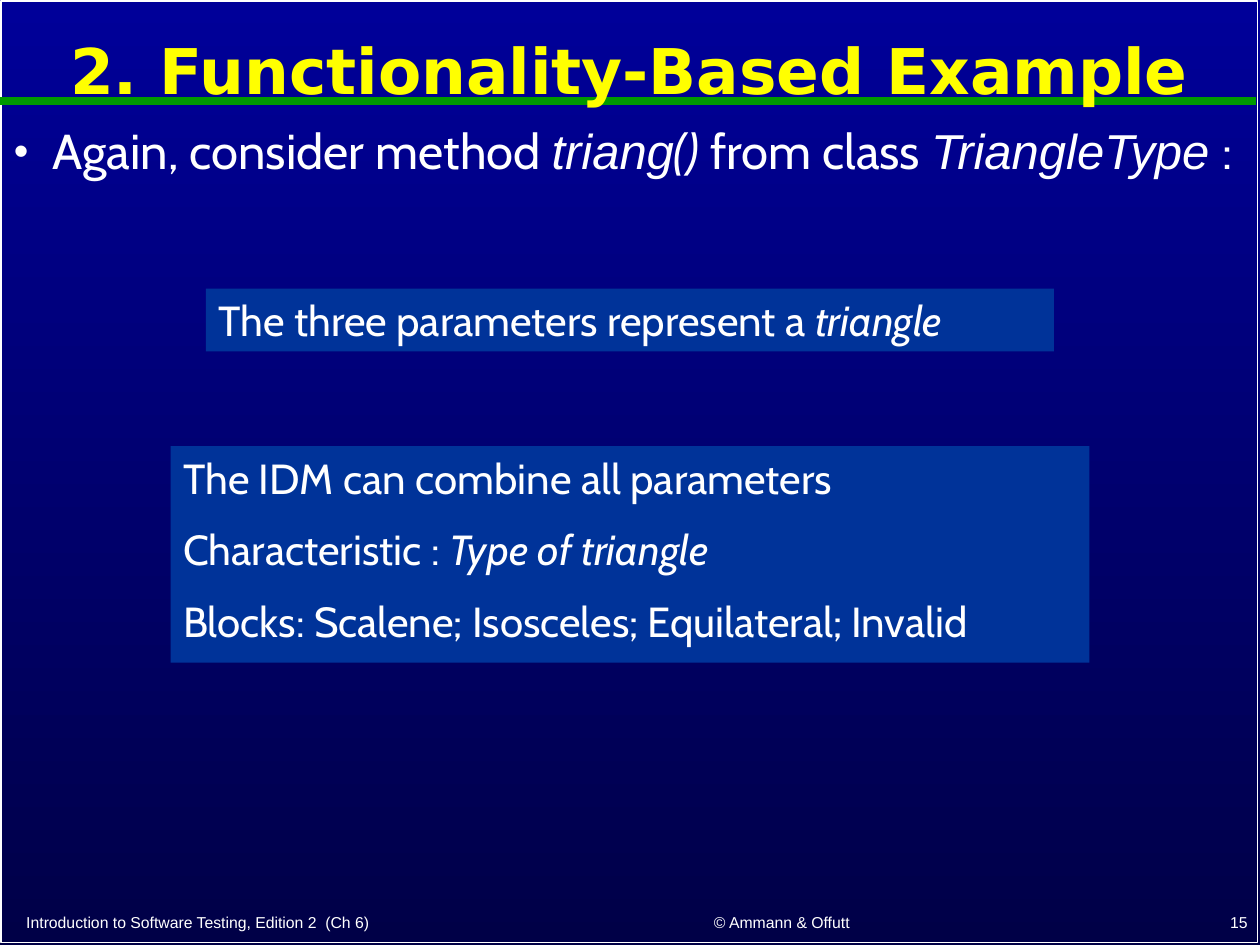
from dataclasses import dataclass

from lxml import etree
from pptx import Presentation
from pptx.dml.color import RGBColor
from pptx.enum.shapes import MSO_CONNECTOR, MSO_SHAPE
from pptx.enum.text import MSO_ANCHOR, MSO_AUTO_SIZE, PP_ALIGN
from pptx.oxml.ns import qn
from pptx.util import Inches, Pt

LEFT, CENTER, RIGHT = PP_ALIGN.LEFT, PP_ALIGN.CENTER, PP_ALIGN.RIGHT
TOP, MIDDLE, BOTTOM = MSO_ANCHOR.TOP, MSO_ANCHOR.MIDDLE, MSO_ANCHOR.BOTTOM
RECTANGLE, STRAIGHT = MSO_SHAPE.RECTANGLE, MSO_CONNECTOR.STRAIGHT
NO_AUTOFIT = MSO_AUTO_SIZE.NONE

SLIDE_WIDTH, SLIDE_HEIGHT = 10, 7.5
EDGE, CONTENT_WIDTH = 0.01, 9.97
RULE_Y = 0.8


@dataclass(frozen=True)
class Theme:
    background: tuple = ("000099", "000047")
    text: str = "FFFFFF"
    title: str = "FFFF00"
    rule: str = "009900"
    panel: str = "003399"
    title_font: str = "DejaVu Sans"
    text_font: str = "Cabin"
    plain_font: str = "Arial"
    title_size: int = 36
    body_size: int = 28
    panel_size: int = 24
    footer_size: int = 9


THEME = Theme()


def color(value):
    return RGBColor.from_string(value)


def place(shape, left, top, width, height):
    shape.left, shape.top = Inches(left), Inches(top)
    shape.width, shape.height = Inches(width), Inches(height)


def add_run(paragraph, text, size, font=THEME.text_font, italic=False,
            bold=False, fill=THEME.text):
    run = paragraph.add_run()
    run.text = text
    run.font.name, run.font.size = font, Pt(size)
    run.font.italic, run.font.bold = italic, bold
    run.font.color.rgb = color(fill)


def set_bullet(paragraph, indent, size_percent):
    properties = paragraph._p.get_or_add_pPr()
    properties.set("marL", str(Inches(indent)))
    properties.set("indent", str(-Inches(indent)))
    for tag, name, value in (("a:buSzPct", "val", str(size_percent * 1000)),
                             ("a:buFont", "typeface", THEME.plain_font),
                             ("a:buChar", "char", "•")):
        etree.SubElement(properties, qn(tag)).set(name, value)


def paint_background(slide):
    fill = slide.background.fill
    fill.gradient()
    fill.gradient_angle = 270
    for stop, value in zip(fill.gradient_stops, THEME.background):
        stop.color.rgb = color(value)


def add_frame(slide):
    frame = slide.shapes.add_shape(RECTANGLE, Inches(EDGE), Inches(EDGE),
                                   Inches(CONTENT_WIDTH), Inches(SLIDE_HEIGHT - 0.03))
    frame.shadow.inherit = False
    frame.fill.background()
    frame.line.color.rgb = color(THEME.text)
    frame.line.width = Pt(1)


def add_rule(slide):
    rule = slide.shapes.add_connector(STRAIGHT, 0, Inches(RULE_Y),
                                      Inches(CONTENT_WIDTH), Inches(RULE_Y))
    rule.line.color.rgb = color(THEME.rule)
    rule.line.width = Pt(4.5)
    etree.SubElement(rule.element.spPr, qn("a:effectLst"))


def prepare_placeholder(placeholder, top, height, anchor):
    """Place it, bring it in front of the backdrop and return its paragraph."""
    place(placeholder, EDGE, top, CONTENT_WIDTH, height)
    placeholder.element.getparent().append(placeholder.element)
    frame = placeholder.text_frame
    frame.auto_size, frame.vertical_anchor = NO_AUTOFIT, anchor
    paragraph = frame.paragraphs[0]
    paragraph.line_spacing, paragraph.space_before = 0.9, Pt(0)
    return paragraph


def fill_title(placeholder, text):
    paragraph = prepare_placeholder(placeholder, 0.11, 0.95, MIDDLE)
    paragraph.alignment = CENTER
    add_run(paragraph, text, THEME.title_size, THEME.title_font,
            bold=True, fill=THEME.title)


def fill_body(placeholder, runs):
    paragraph = prepare_placeholder(placeholder, 0.96, 6.16, TOP)
    set_bullet(paragraph, 0.31, 85)
    for text, font, italic in runs:
        add_run(paragraph, text, THEME.body_size, font, italic)


def add_footer(slide, text, left, width, alignment):
    box = slide.shapes.add_textbox(Inches(left), Inches(7.17),
                                   Inches(width), Inches(0.27))
    frame = box.text_frame
    frame.word_wrap, frame.vertical_anchor = True, BOTTOM
    paragraph = frame.paragraphs[0]
    paragraph.alignment = alignment
    add_run(paragraph, text, THEME.footer_size, THEME.plain_font)


def add_panel(slide, top, width, height, lines):
    """Centred panel; each line is a plain part and an italic part."""
    left = (SLIDE_WIDTH - width) / 2
    panel = slide.shapes.add_shape(RECTANGLE, Inches(left), Inches(top),
                                   Inches(width), Inches(height))
    panel.shadow.inherit = False
    panel.fill.solid()
    panel.fill.fore_color.rgb = color(THEME.panel)
    panel.line.fill.background()
    frame = panel.text_frame
    frame.word_wrap, frame.vertical_anchor = True, TOP
    for index, (plain, emphasis) in enumerate(lines):
        paragraph = frame.add_paragraph() if index else frame.paragraphs[0]
        paragraph.alignment = LEFT
        paragraph.space_before = Pt(THEME.panel_size / 2 if index else 0)
        add_run(paragraph, plain, THEME.panel_size)
        if emphasis:
            add_run(paragraph, emphasis, THEME.panel_size, italic=True)


def main():
    presentation = Presentation()
    presentation.slide_width = Inches(SLIDE_WIDTH)
    presentation.slide_height = Inches(SLIDE_HEIGHT)
    slide = presentation.slides.add_slide(presentation.slide_layouts[1])

    paint_background(slide)
    add_frame(slide)
    add_rule(slide)
    fill_title(slide.shapes.title, "2. Functionality-Based Example")
    fill_body(slide.placeholders[1], [
        ("Again, consider method ", THEME.text_font, False),
        ("triang", THEME.plain_font, True),
        ("()", THEME.text_font, True),
        (" from class ", THEME.text_font, False),
        ("TriangleType ", THEME.plain_font, True),
        (":", THEME.text_font, False),
    ])

    add_footer(slide, "Introduction to Software Testing, Edition 2  (Ch 6)",
               0.11, 4.31, LEFT)
    add_footer(slide, "© Ammann & Offutt", 4.62, 3.17, CENTER)
    add_footer(slide, "15", 7.92, 2.08, RIGHT)

    add_panel(slide, 2.29, 6.73, 0.5,
              [("The three parameters represent a ", "triangle")])
    add_panel(slide, 3.54, 7.29, 1.72, [
        ("The IDM can combine all parameters", ""),
        ("Characteristic : ", "Type of triangle"),
        ("Blocks: Scalene; Isosceles; Equilateral; Invalid", ""),
    ])
    presentation.save("out.pptx")


if __name__ == "__main__":
    main()
